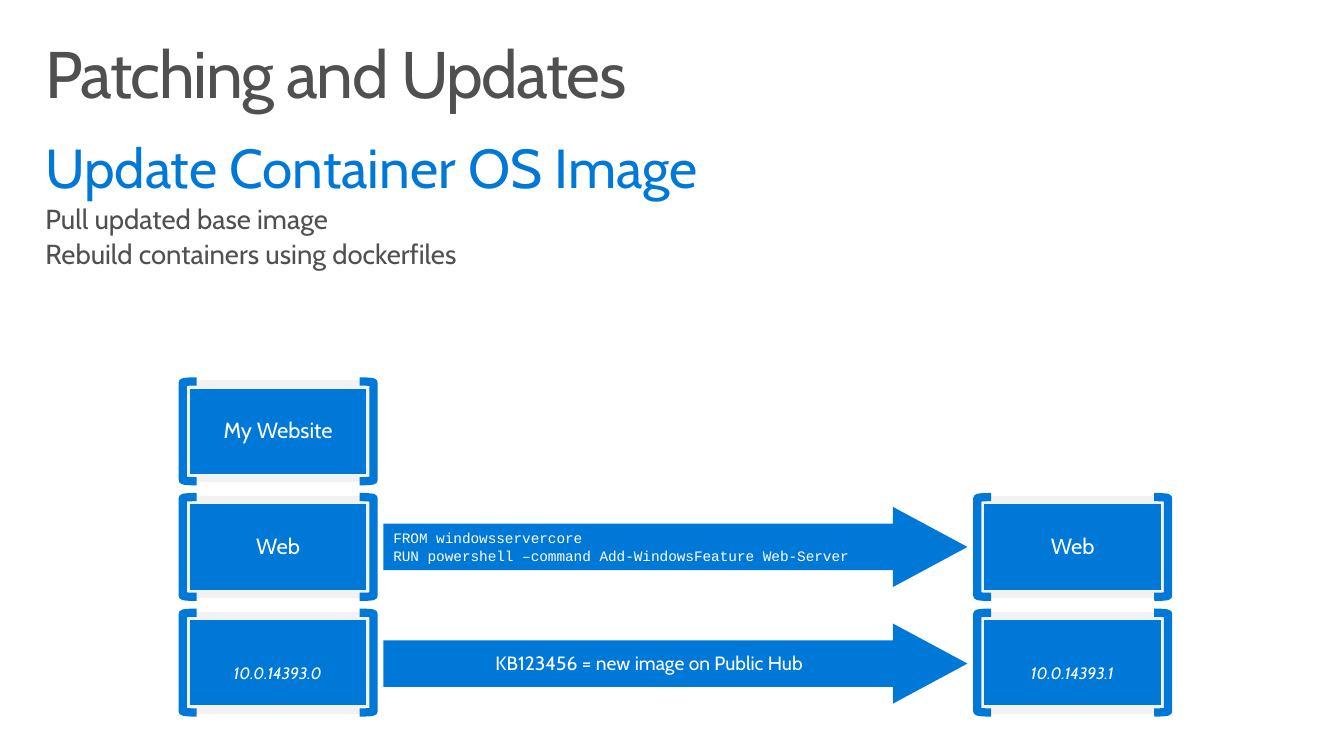
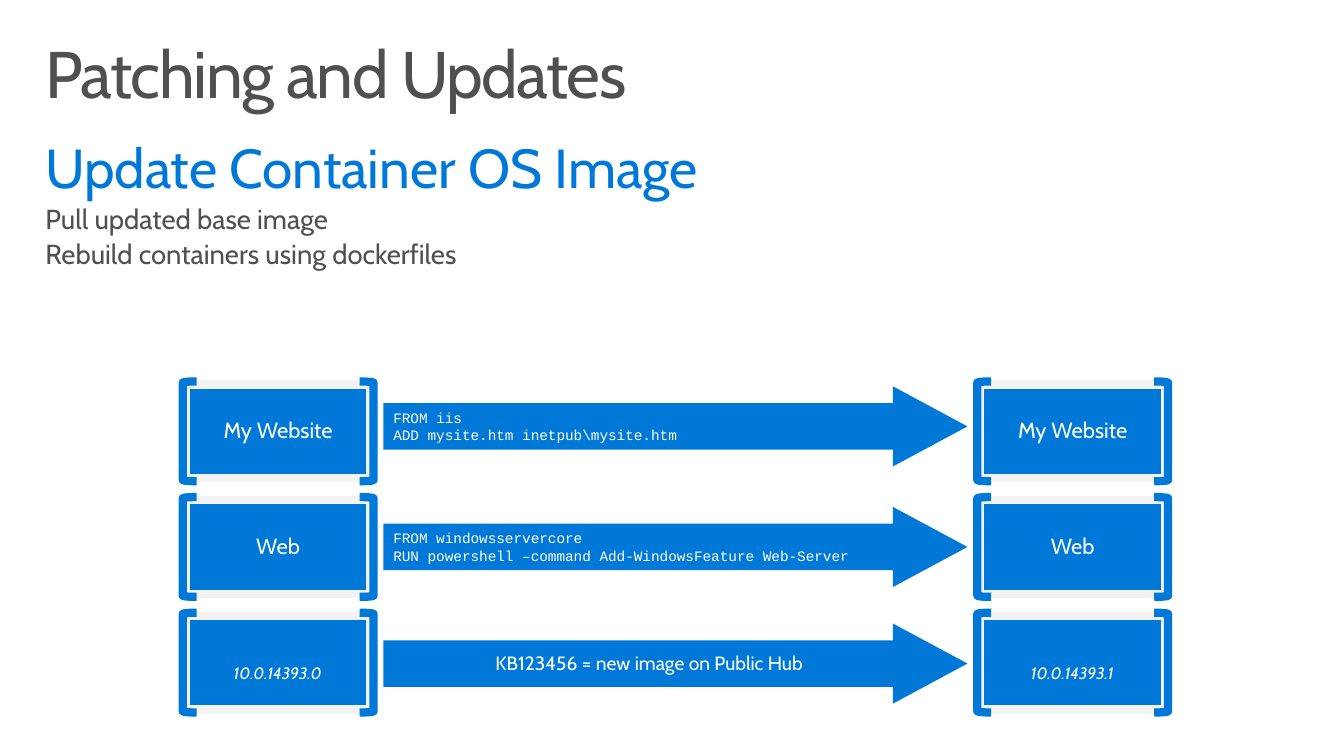
from pptx import Presentation
from pptx.dml.color import RGBColor
from pptx.enum.shapes import MSO_SHAPE
from pptx.enum.text import MSO_ANCHOR, PP_ALIGN
from pptx.util import Inches, Pt

TITLE = "Patching and Updates"
HEADING = "Update Container OS Image"
POINTS = ["Pull updated base image", "Rebuild containers using dockerfiles"]

LAYERS = ["My Website", "Web", None]
VERSIONS = {"before": "10.0.14393.0", "after": "10.0.14393.1"}
SITE_BUILD = ["FROM iis", "ADD mysite.htm inetpub\\mysite.htm"]
SERVER_BUILD = ["FROM windowsservercore",
                "RUN powershell –command Add-WindowsFeature Web-Server"]
BASE_UPDATE = "KB123456 = new image on Public Hub"
STEPS = [SITE_BUILD, SERVER_BUILD, BASE_UPDATE]
FIRST_REBUILT_LAYER = [1, 0]

BLUE, GREY, PALE, WHITE = "0078D7", "505050", "F2F2F2", "FFFFFF"
SANS, MONO = "Cabin", "Courier New"

SLIDE_W, SLIDE_H = 13.6, 7.65
MARGIN = 0.3
STACK_LEFT = {"before": 1.88, "after": 9.92}
STACK_TOP, ROW_PITCH = 3.89, 1.17
LAYER_W, LAYER_H = 1.87, 0.95
BRACKET_W, BRACKET_OUT = 0.14, 0.03
ARROW_LEFT, ARROW_W, ARROW_H = 3.88, 5.91, 0.81
ARROW_DROP = [0.02, 0.07, 0.08]
HEADING_INSETS, LABEL_INSETS, CODE_INSETS = (0.16, 0.1), (0.2, 0.16), (0, 0.05)


def colour(value):
    return RGBColor.from_string(value)


def row_top(row):
    return STACK_TOP + row * ROW_PITCH


def write(frame, lines, size, ink=WHITE, font=SANS, insets=LABEL_INSETS,
          align=PP_ALIGN.CENTER, anchor=MSO_ANCHOR.MIDDLE, spacing=0.9,
          italic=False):
    frame.word_wrap = True
    frame.vertical_anchor = anchor
    frame.margin_left = frame.margin_right = Inches(insets[0])
    frame.margin_top = frame.margin_bottom = Inches(insets[1])
    frame.text = "\n".join(lines)
    for paragraph in frame.paragraphs:
        paragraph.alignment = align
        paragraph.line_spacing = spacing
        for run in paragraph.runs:
            run.font.size = Pt(size)
            run.font.name = font
            run.font.italic = italic
            run.font.color.rgb = colour(ink)


def add_text(slide, left, top, width, height, lines, size, **style):
    box = slide.shapes.add_textbox(*map(Inches, (left, top, width, height)))
    write(box.text_frame, lines, size, **style)
    return box.text_frame


def add_block(slide, kind, left, top, width, height, fill=None, line=None):
    block = slide.shapes.add_shape(kind, *map(Inches, (left, top, width, height)))
    block.shadow.inherit = False
    if fill:
        block.fill.solid()
        block.fill.fore_color.rgb = colour(fill)
    else:
        block.fill.background()
    if line:
        block.line.color.rgb = colour(line)
        block.line.width = Pt(6)
    else:
        block.line.fill.background()
    return block


def add_headings(slide):
    style = dict(insets=HEADING_INSETS, align=PP_ALIGN.LEFT, anchor=MSO_ANCHOR.TOP)
    width = SLIDE_W - 2 * MARGIN
    title = add_text(slide, MARGIN, 0.32, width, 1, [TITLE], 48, ink=GREY, **style)
    title.paragraphs[0].runs[0]._r.get_or_add_rPr().set("spc", "-100")
    body = add_text(slide, MARGIN, 1.33, width, 1.55, [HEADING] + POINTS, 20,
                    ink=GREY, **style)
    heading, *points = body.paragraphs
    heading.runs[0].font.size = Pt(40)
    heading.runs[0].font.color.rgb = colour(BLUE)
    for point in points:
        point.space_before = Pt(4)


def add_layer(slide, side, row):
    left, top = STACK_LEFT[side], row_top(row)
    layer = add_block(slide, MSO_SHAPE.RECTANGLE, left, top, LAYER_W, LAYER_H,
                      fill=BLUE, line=PALE)
    brackets = [
        (MSO_SHAPE.RIGHT_BRACKET, left + LAYER_W + BRACKET_OUT - BRACKET_W),
        (MSO_SHAPE.LEFT_BRACKET, left - BRACKET_OUT),
    ]
    for kind, bracket_left in brackets:
        add_block(slide, kind, bracket_left, top - BRACKET_OUT, BRACKET_W,
                  LAYER_H + 2 * BRACKET_OUT, line=BLUE)
    if LAYERS[row]:
        write(layer.text_frame, [LAYERS[row]], 16)
    else:
        add_text(slide, left + 0.04, top + 0.41, 1.78, 0.43, [VERSIONS[side]], 12,
                 anchor=MSO_ANCHOR.TOP, italic=True)


def add_step(slide, row):
    top = row_top(row) + ARROW_DROP[row]
    arrow = add_block(slide, MSO_SHAPE.RIGHT_ARROW, ARROW_LEFT, top,
                      ARROW_W, ARROW_H, fill=BLUE)
    arrow.adjustments[0], arrow.adjustments[1] = 0.58, 0.93
    step = STEPS[row]
    if isinstance(step, list):
        add_text(slide, ARROW_LEFT + 0.1, top + 0.18, 5.27, 0.45, step, 10.5,
                 font=MONO, insets=CODE_INSETS, align=PP_ALIGN.LEFT,
                 anchor=MSO_ANCHOR.TOP, spacing=1.0)
    else:
        add_text(slide, ARROW_LEFT + 0.01, top + 0.14, 5.36, 0.54, [step], 14)


def main():
    deck = Presentation()
    deck.slide_width, deck.slide_height = Inches(SLIDE_W), Inches(SLIDE_H)
    for first_rebuilt in FIRST_REBUILT_LAYER:
        slide = deck.slides.add_slide(deck.slide_layouts[6])
        add_headings(slide)
        for row in range(first_rebuilt, len(STEPS)):
            add_step(slide, row)
        for side, first in (("before", 0), ("after", first_rebuilt)):
            for row in reversed(range(first, len(LAYERS))):
                add_layer(slide, side, row)
    deck.save("out.pptx")


if __name__ == "__main__":
    main()
